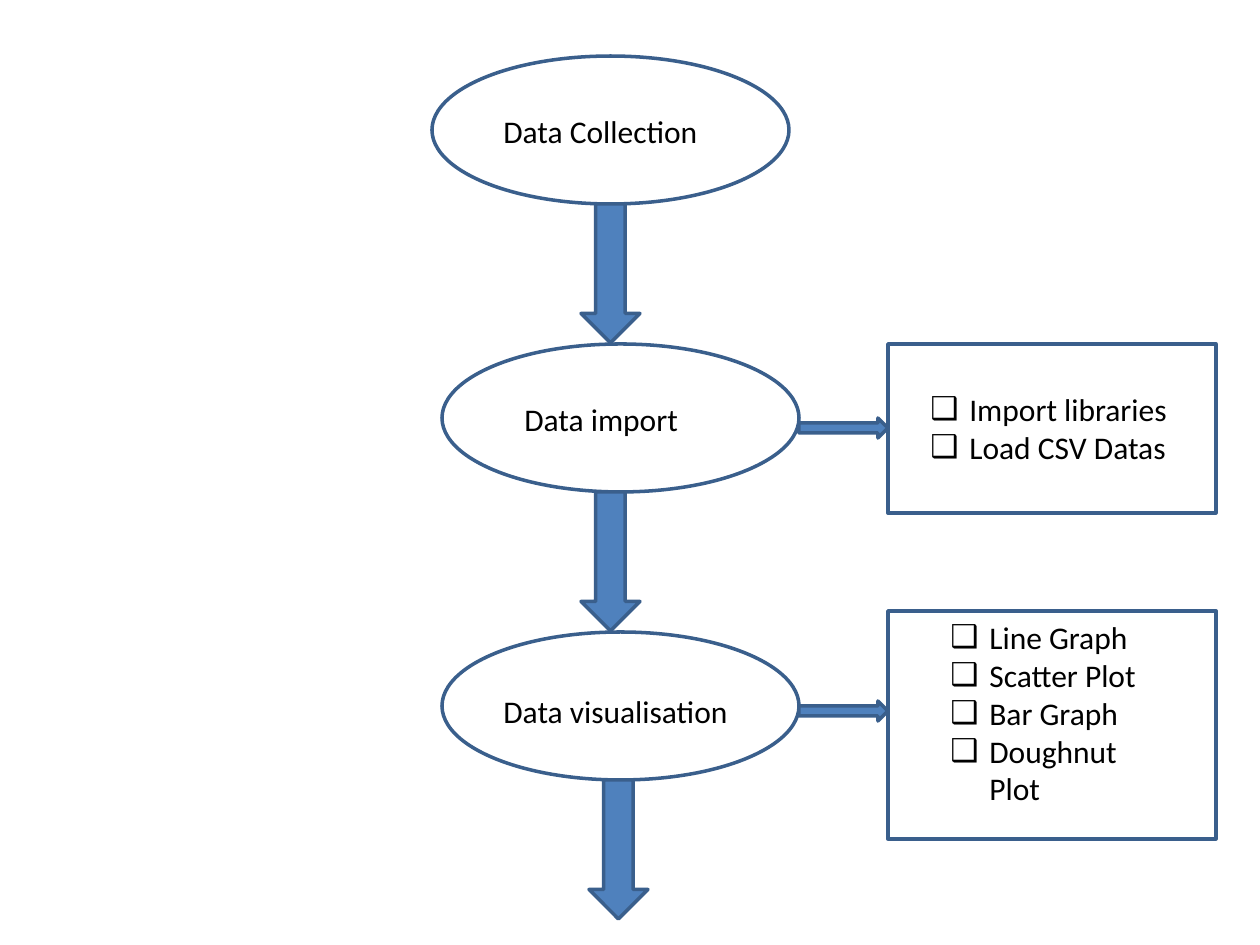
import pptx
import pptx.util
import pptx.dml.color
import pptx.enum.shapes
import pptx.enum.text
import lxml.etree
from dataclasses import dataclass

SCALE = 914400 // 126
KIND = pptx.enum.shapes.MSO_SHAPE


@dataclass(frozen=True)
class Theme:
    fill: str = "4F81BD"
    edge: str = "3A5F8C"
    ink: str = "000000"
    font: str = "Calibri"
    size: int = 18
    line: int = 2
    mark: str = "❑"
    indent: int = 39


THEME = Theme()


def px(*nums):
    return [pptx.util.Emu(num * SCALE) for num in nums]


def color(code):
    return pptx.dml.color.RGBColor.from_string(code)


def apply(target, values):
    for name, value in values.items():
        setattr(target, name, value)


def draw_shape(slide, kind, box, fill=None):
    shape = slide.shapes.add_shape(kind, *px(*box))
    shape.shadow.inherit = False
    if fill:
        shape.fill.solid()
        shape.fill.fore_color.rgb = color(fill)
    else:
        shape.fill.background()
    shape.line.color.rgb = color(THEME.edge)
    shape.line.width = pptx.util.Pt(THEME.line)


def add_mark(para):
    """Give the paragraph a hanging check-box bullet."""
    props = para._p.get_or_add_pPr()
    (indent,) = px(THEME.indent)
    props.set("marL", str(indent))
    props.set("indent", str(-indent))
    space = "{http://schemas.openxmlformats.org/drawingml/2006/main}"
    lxml.etree.SubElement(props, space + "buFont", typeface=THEME.font)
    lxml.etree.SubElement(props, space + "buChar", char=THEME.mark)


def write_text(slide, box, lines, marked=False):
    frame = slide.shapes.add_textbox(*px(*box)).text_frame
    apply(frame, {"word_wrap": True,
                  "auto_size": pptx.enum.text.MSO_AUTO_SIZE.SHAPE_TO_FIT_TEXT})
    frame.text = "\n".join(lines)
    for para in frame.paragraphs:
        if marked:
            add_mark(para)
        font = para.runs[0].font
        apply(font, {"name": THEME.font, "size": pptx.util.Pt(THEME.size)})
        font.color.rgb = color(THEME.ink)


def draw_step(slide, box, label, inset, stem):
    """Draw an oval with its label at inset and a down arrow stem px in."""
    left, top, width, height = box
    draw_shape(slide, KIND.OVAL, box)
    dx, dy, span, depth = inset
    write_text(slide, (left + dx, top + dy, span, depth), [label])
    draw_shape(slide, KIND.DOWN_ARROW,
               (left + stem, top + height, 59, 139), THEME.fill)


def draw_detail(slide, box, lines, inset, drop):
    """Draw a list box and the arrow that enters it drop px from its top."""
    left, top, width, height = box
    draw_shape(slide, KIND.RECTANGLE, box)
    dx, dy, span, depth = inset
    write_text(slide, (left + dx, top + dy, span, depth), lines, marked=True)
    draw_shape(slide, KIND.RIGHT_ARROW,
               (left - 89, top + drop, 89, 20), THEME.fill)


def main():
    deck = pptx.Presentation()
    apply(deck, dict(zip(("slide_width", "slide_height"), px(1260, 945))))
    slide = deck.slides.add_slide(deck.slide_layouts[6])

    steps = [
        (432, "Data Collection", (59, 50, 238, 50), 149),
        (442, "Data import", (70, 50, 277, 89), 139),
        (442, "Data visualisation", (49, 54, 307, 89), 147),
    ]
    for row, (left, label, inset, stem) in enumerate(steps):
        draw_step(slide, (left, 56 + 288 * row, 357, 148), label, inset, stem)

    details = [
        (344, 169, ["Import libraries", "Load CSV Datas"],
         (30, 40, 287, 89), 74),
        (611, 228, ["Line Graph", "Scatter Plot", "Bar Graph",
                    "Doughnut Plot"], (50, 1, 238, 204), 90),
    ]
    for top, height, lines, inset, drop in details:
        draw_detail(slide, (888, top, 328, height), lines, inset, drop)

    deck.save("out.pptx")


if __name__ == "__main__":
    main()
